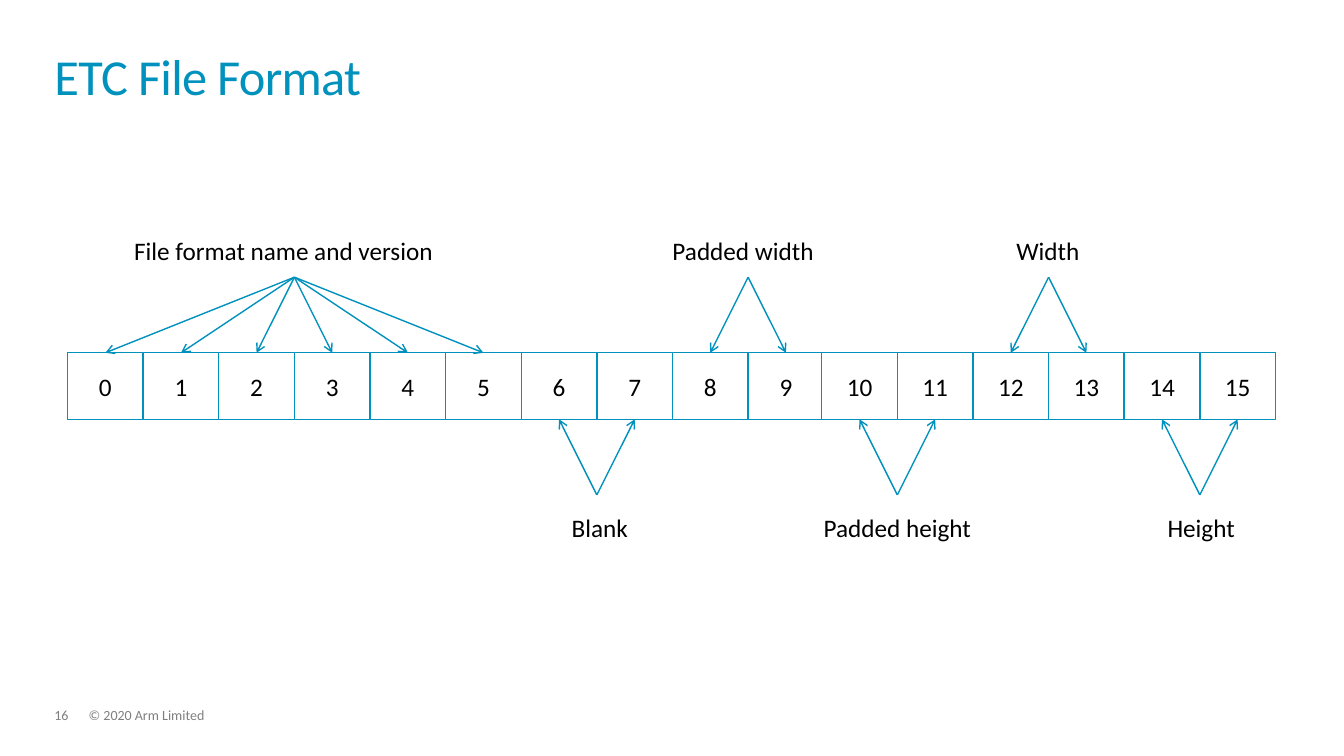
from lxml.etree import SubElement
from pptx import Presentation
from pptx.dml.color import RGBColor
from pptx.enum.shapes import MSO_CONNECTOR, MSO_SHAPE
from pptx.enum.text import MSO_ANCHOR, PP_ALIGN
from pptx.oxml.ns import qn
from pptx.util import Inches, Pt

BLUE = RGBColor(0x00, 0x91, 0xBD)
BLACK = RGBColor(0x00, 0x00, 0x00)
WHITE = RGBColor(0xFF, 0xFF, 0xFF)
GRAY = RGBColor(0x7F, 0x7F, 0x7F)
FONT = "Calibri"

BYTE_COUNT = 16
BYTE_WIDTH, BYTE_HEIGHT = 0.75, 0.66
ROW_LEFT, ROW_TOP = 0.67, 3.5
ROW_BOTTOM = ROW_TOP + BYTE_HEIGHT
SECOND_PART_START, SECOND_PART_SHIFT = 10, -0.02
ARROW_RISE = 0.75
LABEL_TOP_ABOVE, LABEL_TOP_BELOW = 2.33, 5.08
LABEL_HEIGHT = 0.35

# Label, its left edge and width, first byte, last byte, above the row
FIELDS = [
    ("File format name and version", 1.33, 3.2, 0, 5, True),
    ("Blank", 5.67, 1, 6, 7, False),
    ("Padded width", 6.67, 1.7, 8, 9, True),
    ("Padded height", 8.17, 1.7, 10, 11, False),
    ("Width", 10.08, 1, 12, 13, True),
    ("Height", 11.58, 1, 14, 15, False),
]


def byte_left(index):
    shift = SECOND_PART_SHIFT if index >= SECOND_PART_START else 0
    return ROW_LEFT + index * BYTE_WIDTH + shift


def byte_center(index):
    return byte_left(index) + BYTE_WIDTH / 2


def add_run(paragraph, text, size, color):
    run = paragraph.add_run()
    run.text = text
    run.font.name = FONT
    run.font.size = Pt(size)
    run.font.color.rgb = color
    return run


def add_text(slide, box, text, size, color, line_spacing=1.0,
             anchor=MSO_ANCHOR.TOP):
    text_box = slide.shapes.add_textbox(*map(Inches, box))
    frame = text_box.text_frame
    frame.margin_left = frame.margin_right = 0
    frame.margin_top = frame.margin_bottom = 0
    frame.word_wrap = True
    frame.vertical_anchor = anchor
    paragraph = frame.paragraphs[0]
    paragraph.line_spacing = line_spacing
    return add_run(paragraph, text, size, color)


def add_byte(slide, index):
    box = (byte_left(index), ROW_TOP, BYTE_WIDTH, BYTE_HEIGHT)
    shape = slide.shapes.add_shape(MSO_SHAPE.RECTANGLE, *map(Inches, box))
    shape.shadow.inherit = False
    shape.fill.solid()
    shape.fill.fore_color.rgb = WHITE
    shape.line.color.rgb = BLUE
    shape.line.width = Pt(1)
    shape.text_frame.vertical_anchor = MSO_ANCHOR.MIDDLE
    paragraph = shape.text_frame.paragraphs[0]
    paragraph.alignment = PP_ALIGN.CENTER
    add_run(paragraph, str(index), 18, BLACK)


def add_arrow(slide, start, end):
    connector = slide.shapes.add_connector(
        MSO_CONNECTOR.STRAIGHT, *map(Inches, start + end))
    connector.line.color.rgb = BLUE
    connector.line.width = Pt(1)
    SubElement(connector.line._get_or_add_ln(), qn("a:tailEnd"), type="arrow")
    SubElement(connector._element.spPr, qn("a:effectLst"))


def add_field(slide, label, label_left, label_width, first, last, above):
    """Label a range of bytes, with arrows fanning out to each of them."""
    label_top = LABEL_TOP_ABOVE if above else LABEL_TOP_BELOW
    add_text(slide, (label_left, label_top, label_width, LABEL_HEIGHT),
             label, 18, BLACK)
    edge = ROW_TOP if above else ROW_BOTTOM
    tip = edge - ARROW_RISE if above else edge + ARROW_RISE
    middle = (byte_center(first) + byte_center(last)) / 2
    for index in range(first, last + 1):
        add_arrow(slide, (middle, tip), (byte_center(index), edge))


def main():
    presentation = Presentation()
    presentation.slide_width = Inches(13.33)
    presentation.slide_height = Inches(7.5)
    slide = presentation.slides.add_slide(presentation.slide_layouts[6])

    add_text(slide, (0.88, 7.03, 9.13, 0.15), "© 2020 Arm Limited", 10, GRAY,
             line_spacing=0.9)
    add_text(slide, (0.54, 7.03, 0.34, 0.15), "16", 10, GRAY, line_spacing=0.9)
    title = add_text(slide, (0.54, 0.32, 12.23, 0.73), "ETC File Format", 36, BLUE,
                     line_spacing=0.85, anchor=MSO_ANCHOR.BOTTOM)
    title.font._element.set("spc", "-50")

    for index in range(BYTE_COUNT):
        add_byte(slide, index)
    for field in FIELDS:
        add_field(slide, *field)

    presentation.save("out.pptx")


if __name__ == "__main__":
    main()
